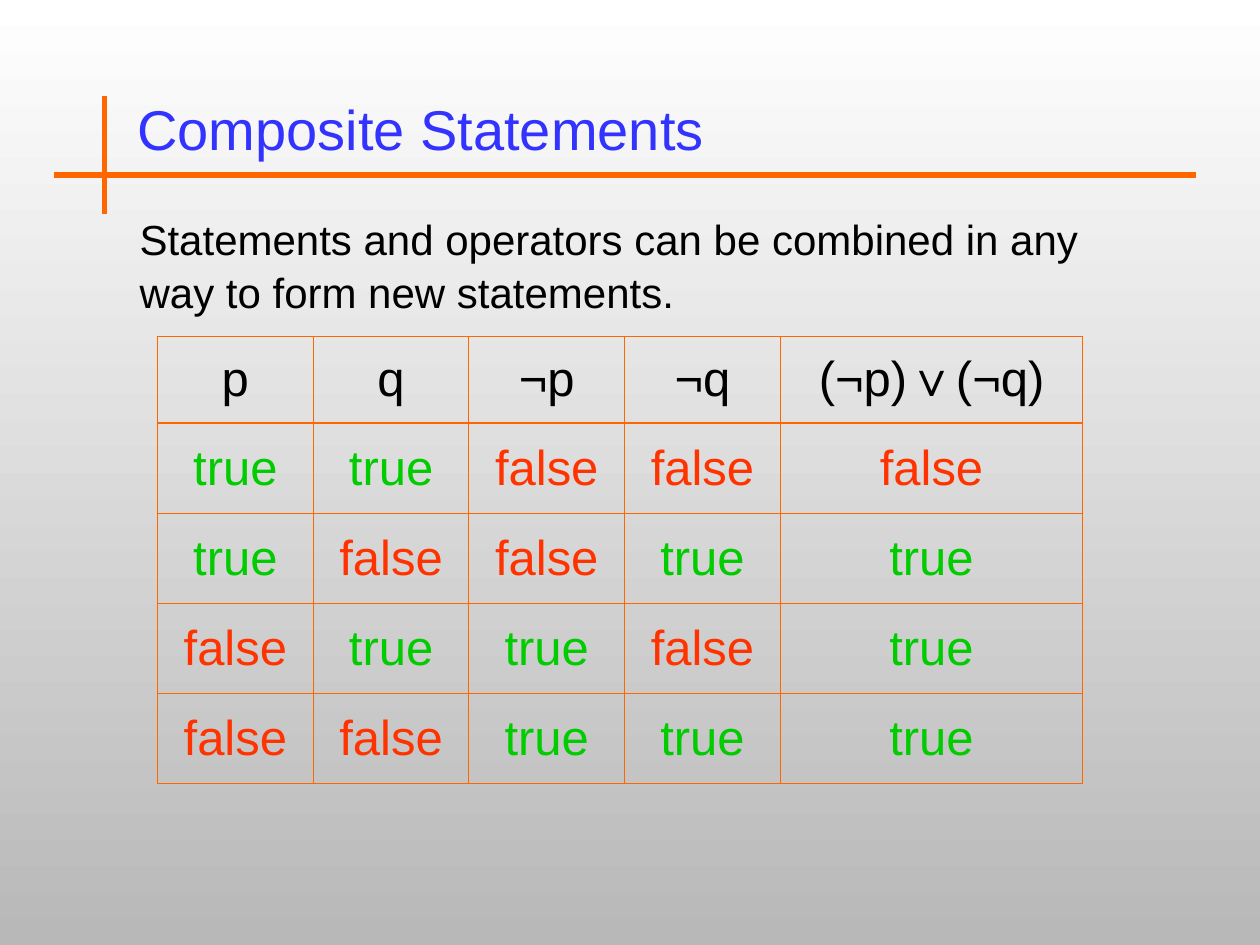
from dataclasses import dataclass
from itertools import product

from lxml import etree
from pptx import Presentation
from pptx.dml.color import RGBColor
from pptx.enum.shapes import MSO_CONNECTOR
from pptx.enum.text import MSO_ANCHOR, MSO_AUTO_SIZE, PP_ALIGN
from pptx.oxml.ns import qn
from pptx.util import Inches, Pt

STRAIGHT = MSO_CONNECTOR.STRAIGHT
TOP, MIDDLE = MSO_ANCHOR.TOP, MSO_ANCHOR.MIDDLE
LEFT, CENTER = PP_ALIGN.LEFT, PP_ALIGN.CENTER
NO_FIT = MSO_AUTO_SIZE.NONE

ORANGE, BLUE, BLACK = "FF6600", "3333FF", "000000"
TRUTH_COLORS = {"true": "00CC00", "false": "FF3300"}
HEADERS = ["p", "q", "¬p", "¬q", "(¬p)∨(¬q)"]
COLUMN_SHARES = [12.36] * 4 + [24]
ROW_SHARES = [9.16] + [9.54] * 4
WIDTH, HEIGHT = Inches(10), Inches(7.5)


@dataclass
class Box:
    """A rectangle in percent of the slide's width and height."""
    left: float
    top: float
    width: float
    height: float

    def emu(self) -> tuple:
        """Return left, top, width and height as lengths."""
        return across(self.left), down(self.top), across(self.width), down(self.height)


@dataclass
class Rule:
    """A straight line between two points in percent of the slide."""
    x1: float
    y1: float
    x2: float
    y2: float


TITLE = Box(9.9, 8.53, 55.9, 10)
BODY = Box(10.1, 21.6, 81.7, 12.27)
TABLE = Box(12.5, 35.6, sum(COLUMN_SHARES), sum(ROW_SHARES))
RULES = [Rule(4.3, 18.53, 94.9, 18.53), Rule(8.3, 10.13, 8.3, 22.67)]


def across(share: float) -> int:
    """Turn a percentage of the slide's width into a length."""
    return int(WIDTH * share / 100)


def down(share: float) -> int:
    """Turn a percentage of the slide's height into a length."""
    return int(HEIGHT * share / 100)


def rgb(value: str) -> RGBColor:
    """Turn a hex string into a colour."""
    return RGBColor.from_string(value)


def write(tf, text: str, *, size: float, color: str = BLACK, align=LEFT, spacing: float = 1) -> None:
    """Put one formatted paragraph into a text frame."""
    p = tf.paragraphs[0]
    p.alignment = align
    p.line_spacing = spacing
    r = p.add_run()
    r.text = text
    r.font.name = "Arial"
    r.font.size = Pt(size)
    r.font.color.rgb = rgb(color)


def set_frame(tf, anchor) -> None:
    """Make a text frame wrap at a fixed size."""
    tf.word_wrap = True
    tf.auto_size = NO_FIT
    tf.vertical_anchor = anchor


def paint_background(s) -> None:
    """Fill the slide with a gradient from white down to grey."""
    fill = s.background.fill
    fill.gradient()
    fill.gradient_angle = 270
    for stop, color in zip(fill.gradient_stops, ("FFFFFF", "B8B8B8")):
        stop.color.rgb = rgb(color)


def draw_rule(s, rule: Rule) -> None:
    """Draw a thick orange line without a shadow."""
    line = s.shapes.add_connector(
        STRAIGHT, across(rule.x1), down(rule.y1), across(rule.x2), down(rule.y2))
    line.line.color.rgb = rgb(ORANGE)
    line.line.width = Pt(3)
    etree.SubElement(line._element.spPr, qn("a:effectLst"))


def add_borders(cell) -> None:
    """Give a cell a thin orange border on all sides."""
    tc_pr = cell._tc.get_or_add_tcPr()
    for side in "LRTB":
        ln = etree.SubElement(tc_pr, qn(f"a:ln{side}"), w=str(Pt(0.75)))
        fill = etree.SubElement(ln, qn("a:solidFill"))
        etree.SubElement(fill, qn("a:srgbClr"), val=ORANGE)


def truth_rows() -> list:
    """Work out the rows of the truth table below its header."""
    return [[str(value).lower() for value in (p, q, not p, not q, not p or not q)]
            for p, q in product((True, False), repeat=2)]


def draw_table(s, box: Box, rows: list) -> None:
    """Draw the truth table with bordered, unfilled cells."""
    table = s.shapes.add_table(len(rows), len(rows[0]), *box.emu()).table
    table.first_row = table.horz_banding = False
    for column, share in zip(table.columns, COLUMN_SHARES):
        column.width = across(share)
    for row, share, values in zip(table.rows, ROW_SHARES, rows):
        row.height = down(share)
        for cell, value in zip(row.cells, values):
            add_borders(cell)
            cell.fill.background()
            cell.vertical_anchor = MIDDLE
            write(cell.text_frame, value, size=28,
                  color=TRUTH_COLORS.get(value, BLACK), align=CENTER)


def main() -> None:
    """Build the slide and save it."""
    prs = Presentation()
    prs.slide_width, prs.slide_height = WIDTH, HEIGHT
    s = prs.slides.add_slide(prs.slide_layouts[5])
    paint_background(s)

    title = s.shapes.title
    title.left, title.top, title.width, title.height = TITLE.emu()
    set_frame(title.text_frame, MIDDLE)
    write(title.text_frame, "Composite Statements", size=32, color=BLUE)

    body = s.shapes.add_textbox(*BODY.emu())
    set_frame(body.text_frame, TOP)
    write(body.text_frame,
          "Statements and operators can be combined in any way to form new statements.",
          size=24, spacing=1.06)

    draw_table(s, TABLE, [HEADERS] + truth_rows())
    for rule in RULES:
        draw_rule(s, rule)
    prs.save("out.pptx")


if __name__ == "__main__":
    main()
